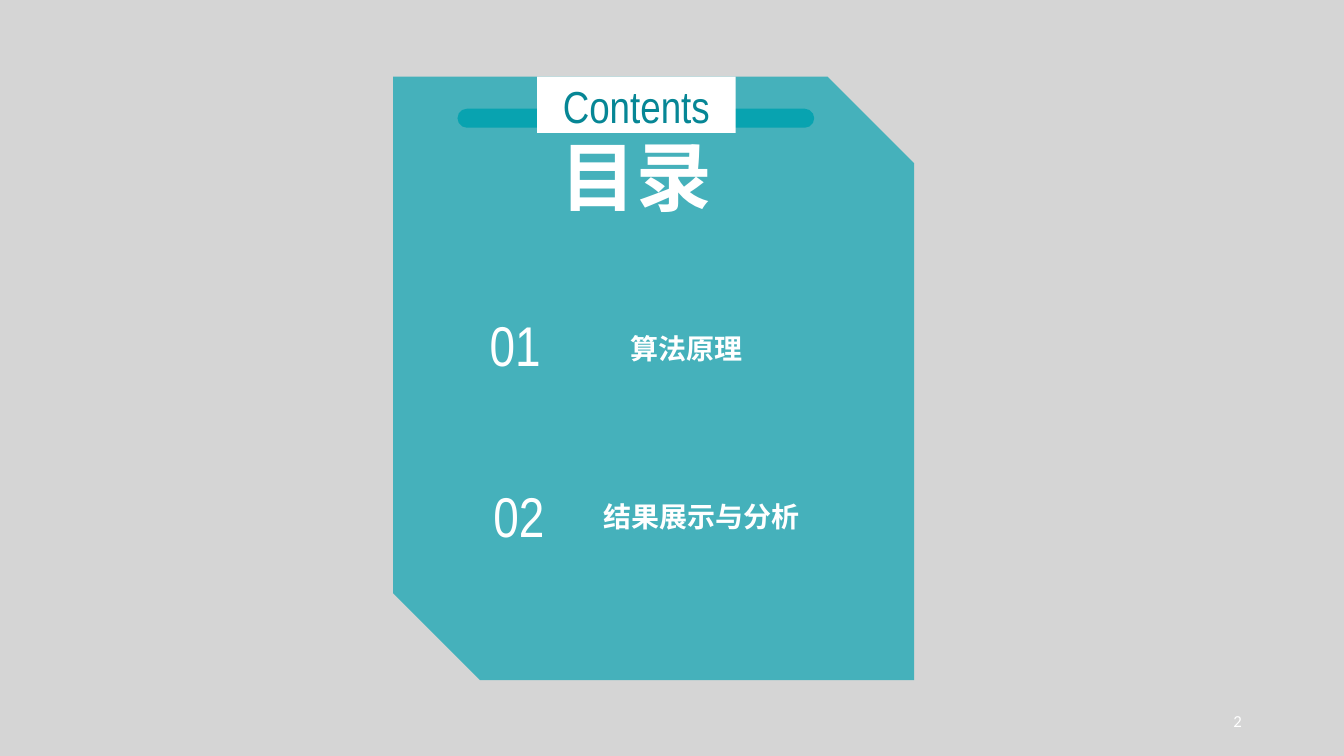
from dataclasses import dataclass

from lxml import etree
from pptx import Presentation
from pptx import util as u
from pptx.dml.color import RGBColor
from pptx.enum import shapes, text
from pptx.oxml import ns


@dataclass(frozen=True)
class Theme:
    background: str = "D5D5D5"
    teal: str = "08A3B0"
    dark_teal: str = "068695"
    white: str = "FFFFFF"
    narrow: str = "Arial Narrow"
    body: str = "Calibri"
    title_size: int = 54
    number_size: int = 40
    label_size: int = 32
    topic_size: int = 20
    page_size: int = 12


THEME = Theme()
ALIGN = text.PP_ALIGN
ANCHOR = text.MSO_ANCHOR
TITLE_ONLY = 5


def lengths(*values):
    return [u.Cm(value) for value in values]


def write(box, words, size, font=THEME.body, color=THEME.white, bold=False,
          align=ALIGN.LEFT, anchor=ANCHOR.MIDDLE, wrap=True, insets=None):
    """Fill a box with one formatted paragraph; insets are left, top, right, bottom in cm."""
    frame = box.text_frame
    frame.auto_size = text.MSO_AUTO_SIZE.NONE
    frame.word_wrap = wrap
    frame.vertical_anchor = anchor
    if insets:
        (frame.margin_left, frame.margin_top,
         frame.margin_right, frame.margin_bottom) = lengths(*insets)
    para = frame.paragraphs[0]
    para.alignment = align
    span = para.add_run()
    span.text = words
    span.font.size = u.Pt(size)
    span.font.name = font
    span.font.bold = bold
    span.font.color.rgb = RGBColor.from_string(color)


def add_text(page, place, words, size, **style):
    write(page.shapes.add_textbox(*lengths(*place)), words, size, **style)


def add_block(page, kind, place, color, opacity=100):
    block = page.shapes.add_shape(kind, *lengths(*place))
    block.shadow.inherit = False
    block.fill.solid()
    block.fill.fore_color.rgb = RGBColor.from_string(color)
    block.line.fill.background()
    if opacity < 100:
        tint = block.element.spPr.find(".//" + ns.qn("a:srgbClr"))
        etree.SubElement(tint, ns.qn("a:alpha"), val=str(opacity * 1000))
    return block


def add_heading(page):
    kinds = shapes.MSO_SHAPE
    bar = add_block(page, kinds.ROUNDED_RECTANGLE, (11.53, 2.74, 8.99, 0.48), THEME.teal)
    bar.adjustments[0] = 0.5
    label = add_block(page, kinds.RECTANGLE, (13.54, 1.93, 5, 1.42), THEME.white)
    write(label, "Contents", THEME.label_size, font=THEME.narrow, color=THEME.dark_teal,
          align=ALIGN.CENTER, anchor=ANCHOR.BOTTOM, insets=(0, 0, 0, 0))

    title = page.shapes.title
    title.left, title.top, title.width, title.height = lengths(13.54, 3.15, 5, 2.57)
    write(title, "目录", THEME.title_size, bold=True, align=ALIGN.CENTER, anchor=ANCHOR.TOP)
    title.element.getparent().append(title.element)  # bring to front


def add_entry(page, number, number_place, topic, topic_place):
    add_text(page, number_place, number, THEME.number_size, font=THEME.narrow,
             align=ALIGN.CENTER, wrap=False)
    add_text(page, topic_place, topic, THEME.topic_size, bold=True,
             anchor=ANCHOR.BOTTOM, insets=(1, 0, 0, 0))


def main():
    deck = Presentation()
    deck.slide_width, deck.slide_height = lengths(33.87, 19.05)
    page = deck.slides.add_slide(deck.slide_layouts[TITLE_ONLY])
    page.background.fill.solid()
    page.background.fill.fore_color.rgb = RGBColor.from_string(THEME.background)

    add_text(page, (23.93, 17.65, 7.62, 1.02), "2", THEME.page_size, align=ALIGN.RIGHT)
    add_block(page, shapes.MSO_SHAPE.SNIP_2_DIAG_RECTANGLE,
              (9.91, 1.93, 13.13, 15.21), THEME.teal, opacity=70)
    add_heading(page)
    add_entry(page, "01", (12.07, 7.7, 1.83, 1.96),
              "算法原理", (14.88, 8.05, 11, 1.14))
    add_entry(page, "02", (12.07, 12.01, 2.01, 1.96),
              "结果展示与分析", (14.2, 12.75, 11, 0.69))

    deck.save("out.pptx")


if __name__ == "__main__":
    main()
